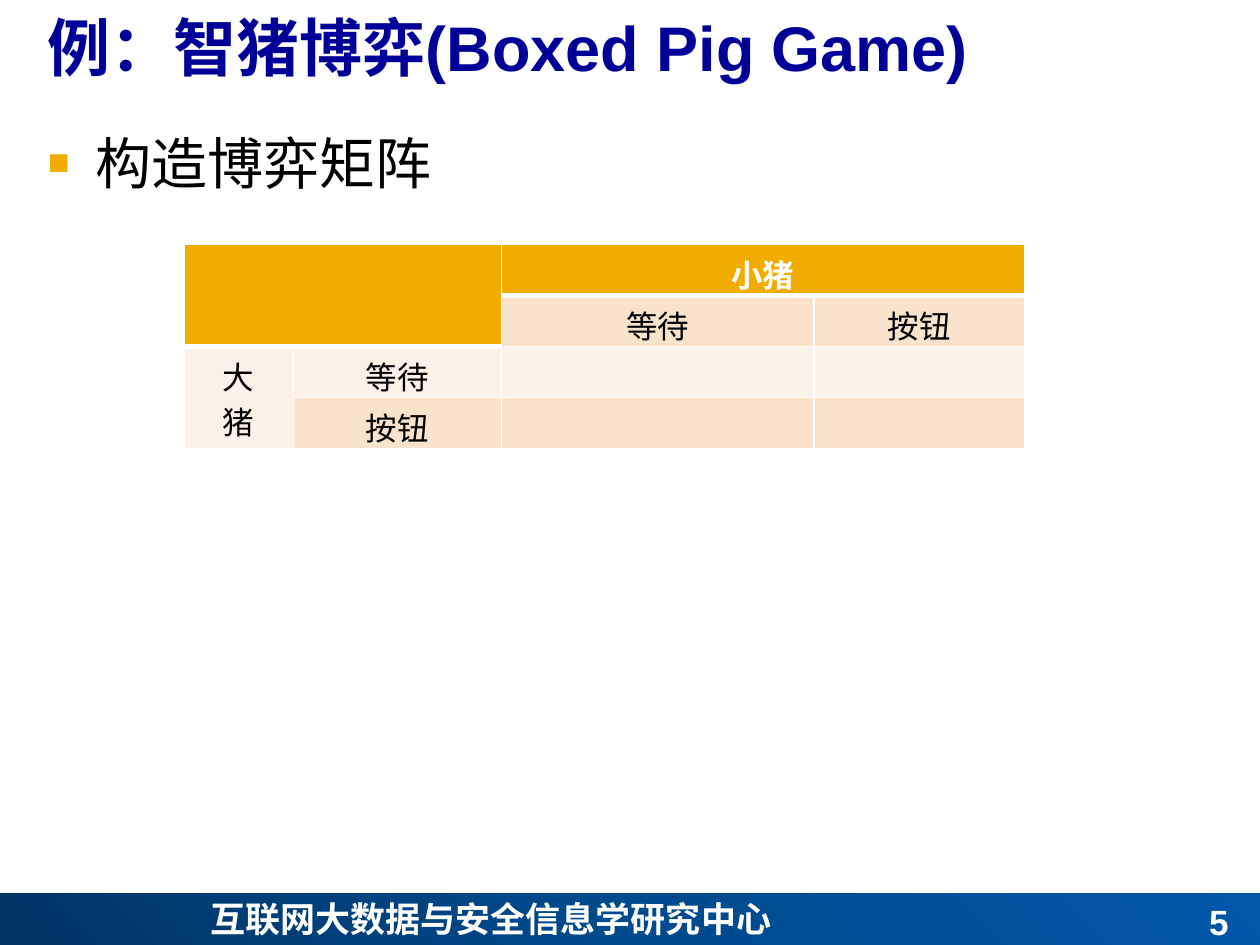
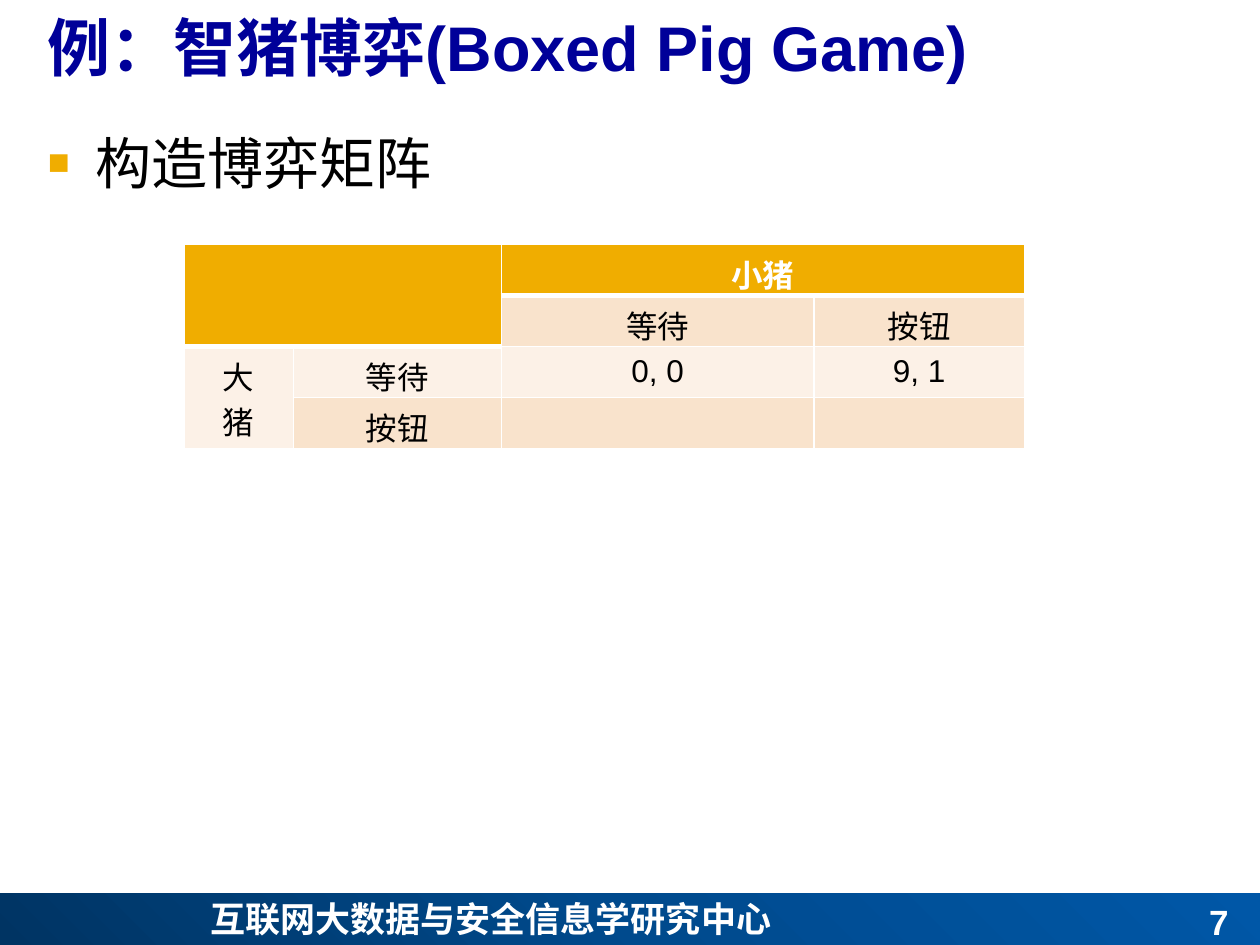
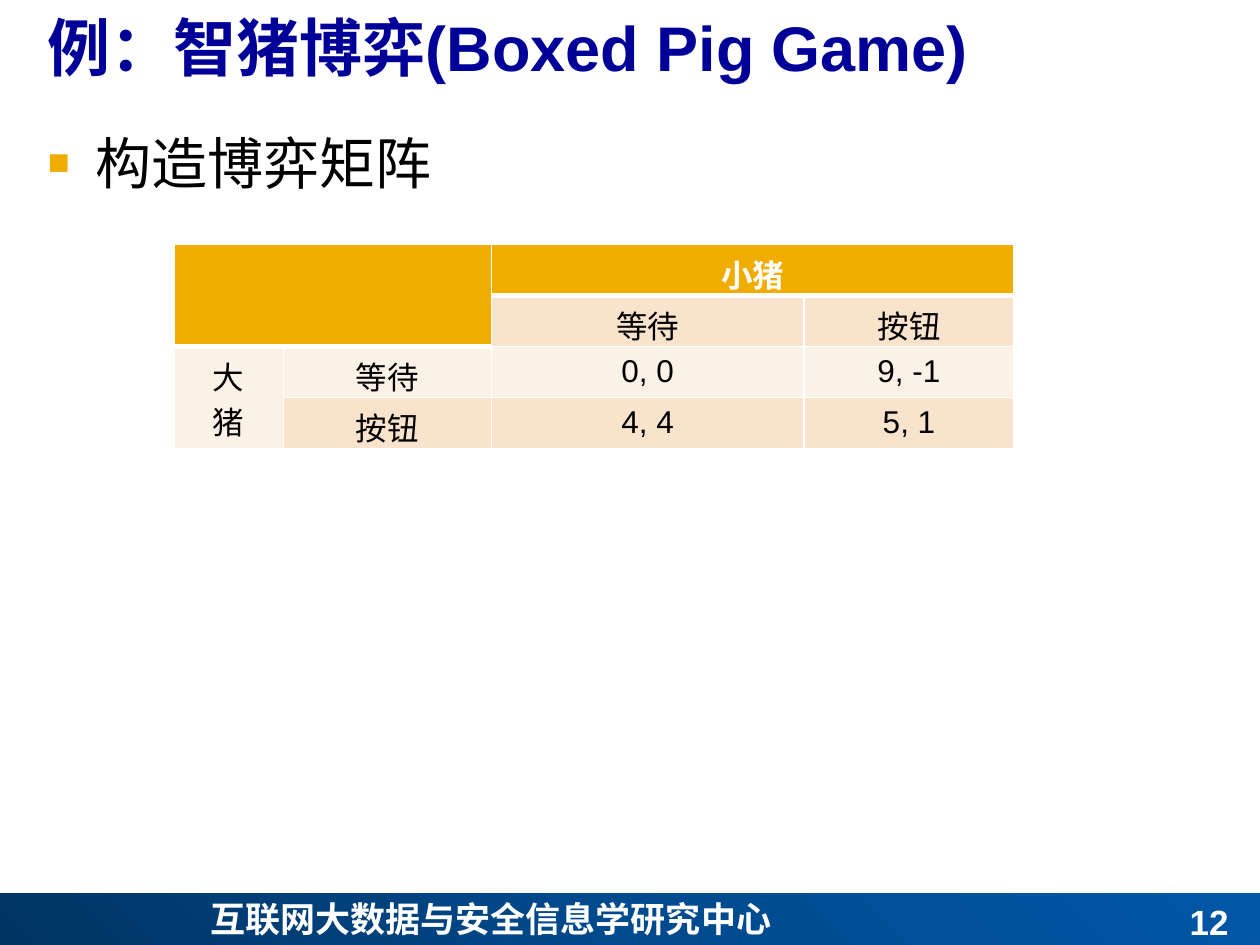
import pptx
import pptx.dml.color
import pptx.enum.shapes
import pptx.enum.text
import pptx.oxml
import pptx.oxml.ns
import pptx.util
from dataclasses import dataclass

ALIGN = pptx.enum.text.PP_ALIGN
ANCHOR = pptx.enum.text.MSO_ANCHOR
NAMESPACE = pptx.oxml.ns.nsdecls("a")


@dataclass(frozen=True)
class Theme:
    latin: str = "Arial"
    chinese: str = "Noto Sans CJK SC"
    title_color: str = "000099"
    text_color: str = "000000"
    white: str = "FFFFFF"
    accent: str = "F0AD00"
    row_tints: tuple = ("FCF1E7", "F9E3CC")
    band_stops: tuple = ((0, "003463"), (50, "004A8D"), (100, "0057A7"))
    title_size: int = 36
    body_size: int = 32
    footer_size: int = 20
    table_size: int = 18


THEME = Theme()
TITLE = "例：智猪博弈(Boxed Pig Game)"
TOPIC = "构造博弈矩阵"
FOOTER = "互联网大数据与安全信息学研究中心"

# The slide is a grid of 100 columns by 75 rows
COLUMNS, ROWS = 100, 75
UNIT = pptx.util.Inches(0.1)
BAND_TOP = 70.9
MATRIX_COLUMNS = (8.7, 16.5, 24.8, 16.7)
MATRIX_ROW = 4.05
MATRIX_TOP = 19.4


def grid(*lengths):
    return [round(length * UNIT) for length in lengths]


def place(shape, left, top, width, height):
    shape.left, shape.top, shape.width, shape.height = grid(left, top, width, height)


def color(value):
    return pptx.dml.color.RGBColor.from_string(value)


def format_paragraph(paragraph, size, text_color, bold=False, align=ALIGN.LEFT, latin=THEME.latin):
    paragraph.alignment = align
    paragraph.space_before = pptx.util.Pt(0)
    font = paragraph.font
    font.size, font.bold, font.name = pptx.util.Pt(size), bold, latin
    font.color.rgb = color(text_color)
    defaults = paragraph._p.pPr.find(pptx.oxml.ns.qn("a:defRPr"))
    defaults.append(pptx.oxml.parse_xml(f'<a:ea {NAMESPACE} typeface="{THEME.chinese}"/>'))


def add_bullet(paragraph):
    properties = paragraph._p.get_or_add_pPr()
    indent = grid(3.8)[0]
    properties.set("marL", str(indent))
    properties.set("indent", str(-indent))
    for element in (
        f'<a:buClr {NAMESPACE}><a:srgbClr val="{THEME.accent}"/></a:buClr>',
        f'<a:buSzPct {NAMESPACE} val="65000"/>',
        f'<a:buFont {NAMESPACE} typeface="{THEME.latin}"/>',
        f'<a:buChar {NAMESPACE} char="■"/>',
    ):
        properties.append(pptx.oxml.parse_xml(element))


# Parts every slide shares
def add_band(slide):
    band = slide.shapes.add_shape(
        pptx.enum.shapes.MSO_SHAPE.RECTANGLE, *grid(0, BAND_TOP, COLUMNS, ROWS - BAND_TOP))
    band.shadow.inherit = False
    band.line.fill.background()
    stops = "".join(f'<a:gs pos="{position * 1000}"><a:srgbClr val="{value}"/></a:gs>'
                    for position, value in THEME.band_stops)
    gradient = pptx.oxml.parse_xml(
        f'<a:gradFill {NAMESPACE} rotWithShape="1"><a:gsLst>{stops}</a:gsLst>'
        '<a:path path="circle"><a:fillToRect t="100000" r="100000"/></a:path></a:gradFill>')
    band._element.spPr.find(pptx.oxml.ns.qn("a:prstGeom")).addnext(gradient)


def add_footer_text(slide, text, box, align, anchor, latin):
    footer = slide.shapes.add_textbox(*grid(*box))
    frame = footer.text_frame
    frame.word_wrap = True
    frame.vertical_anchor = anchor
    frame.text = text
    format_paragraph(frame.paragraphs[0], THEME.footer_size, THEME.white, True, align, latin)


def fill_placeholder(shape, text, box):
    place(shape, *box)
    frame = shape.text_frame
    frame.auto_size = pptx.enum.text.MSO_AUTO_SIZE.NONE
    frame.text = text
    return frame.paragraphs[0]


def add_game_slide(presentation, number):
    slide = presentation.slides.add_slide(presentation.slide_layouts[1])
    add_band(slide)
    add_footer_text(slide, FOOTER, (15.7, 70.7, 68.5, 4.4),
                    ALIGN.JUSTIFY, ANCHOR.TOP, THEME.chinese)
    add_footer_text(slide, str(number), (75.2, BAND_TOP, 23.3, 4.4),
                    ALIGN.RIGHT, ANCHOR.BOTTOM, THEME.latin)
    title = fill_placeholder(slide.shapes.title, TITLE, (2.8, -0.3, 97.2, 7.9))
    format_paragraph(title, THEME.title_size, THEME.title_color, True)
    topic = fill_placeholder(slide.placeholders[1], TOPIC, (2.8, 9.7, 94.5, 57.8))
    add_bullet(topic)
    format_paragraph(topic, THEME.body_size, THEME.text_color)
    return slide


# Payoff matrix
def is_header(row, column):
    return row == 0 or (row == 1 and column < 2)


def set_borders(cell, row, column):
    below = 3 if is_header(row, column) and not is_header(row + 1, column) else 1
    above = 3 if row and is_header(row - 1, column) and not is_header(row, column) else 1
    properties = cell._tc.get_or_add_tcPr()
    for index, (side, points) in enumerate((("L", 1), ("R", 1), ("T", above), ("B", below))):
        properties.insert(index, pptx.oxml.parse_xml(
            f'<a:ln{side} {NAMESPACE} w="{pptx.util.Pt(points)}"><a:solidFill>'
            f'<a:srgbClr val="{THEME.white}"/></a:solidFill></a:ln{side}>'))


def format_cell(cell, row, column, text):
    header = is_header(row, column)
    cell.fill.solid()
    cell.fill.fore_color.rgb = color(THEME.accent if header else THEME.row_tints[row % 2])
    set_borders(cell, row, column)
    cell.vertical_anchor = ANCHOR.MIDDLE
    cell.text_frame.text = text
    for paragraph in cell.text_frame.paragraphs:
        format_paragraph(paragraph, THEME.table_size,
                         THEME.white if header else THEME.text_color, header, ALIGN.CENTER)


def add_payoff_matrix(slide, left, wait_payoffs, press_payoffs):
    rows = (
        ("", "", "小猪", ""),
        ("", "", "等待", "按钮"),
        ("大\n猪", "等待", *wait_payoffs),
        ("", "按钮", *press_payoffs),
    )
    table = slide.shapes.add_table(
        len(rows), len(MATRIX_COLUMNS),
        *grid(left, MATRIX_TOP, sum(MATRIX_COLUMNS), MATRIX_ROW * len(rows))).table
    for column, width in zip(table.columns, grid(*MATRIX_COLUMNS)):
        column.width = width
    for row, texts in enumerate(rows):
        for column, text in enumerate(texts):
            format_cell(table.cell(row, column), row, column, text)
    for first, last in (((0, 0), (1, 1)), ((0, 2), (0, 3)), ((2, 0), (3, 0))):
        table.cell(*first).merge(table.cell(*last))


def main():
    presentation = pptx.Presentation()
    presentation.slide_width, presentation.slide_height = COLUMNS * UNIT, ROWS * UNIT
    unknown = ("", "")
    for number, left, wait_payoffs, press_payoffs in (
        (5, 14.6, unknown, unknown),
        (7, 14.6, ("0, 0", "9, 1"), unknown),
        (12, 13.8, ("0, 0", "9, -1"), ("4, 4", "5, 1")),
    ):
        slide = add_game_slide(presentation, number)
        add_payoff_matrix(slide, left, wait_payoffs, press_payoffs)
    presentation.save("out.pptx")


if __name__ == "__main__":
    main()
